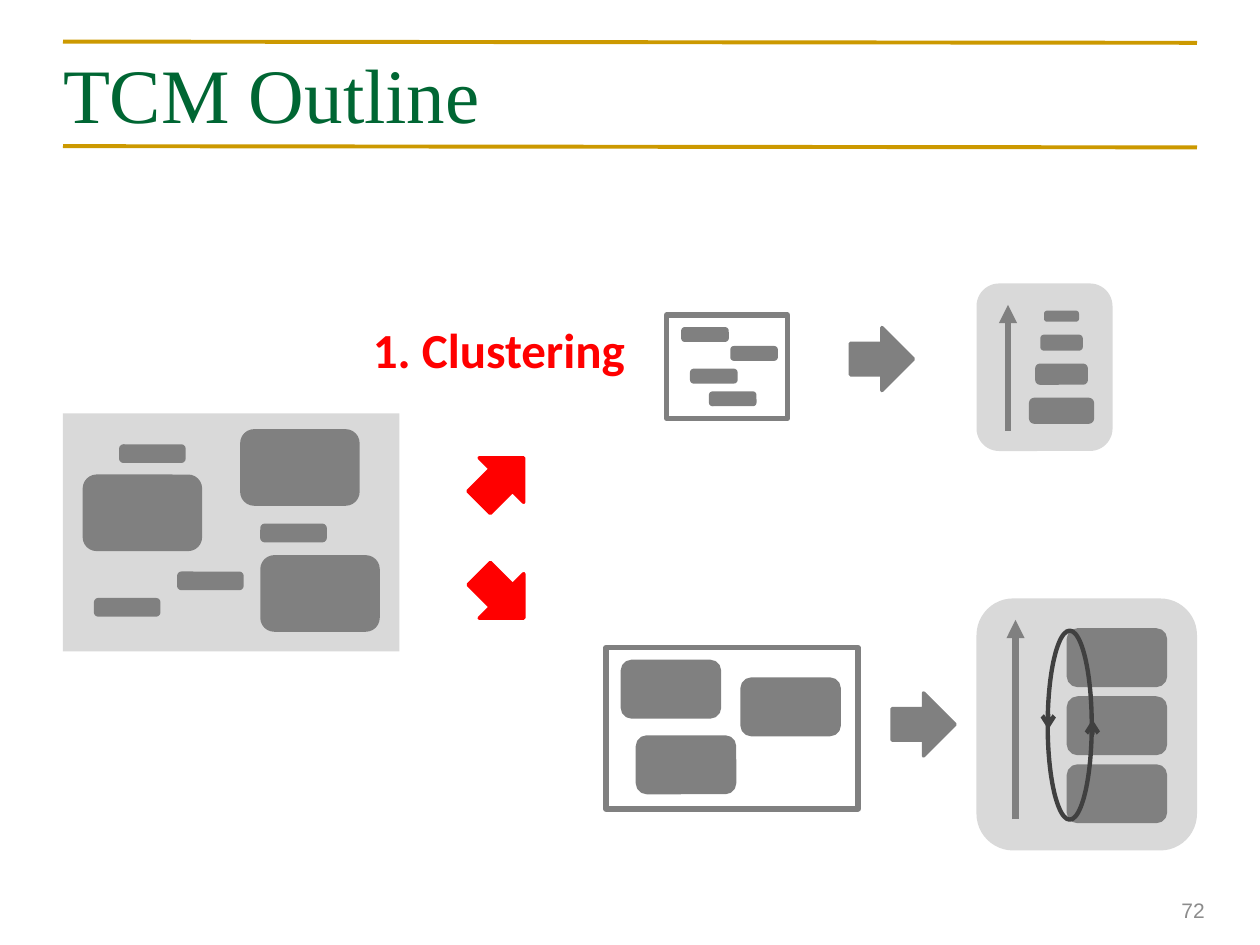
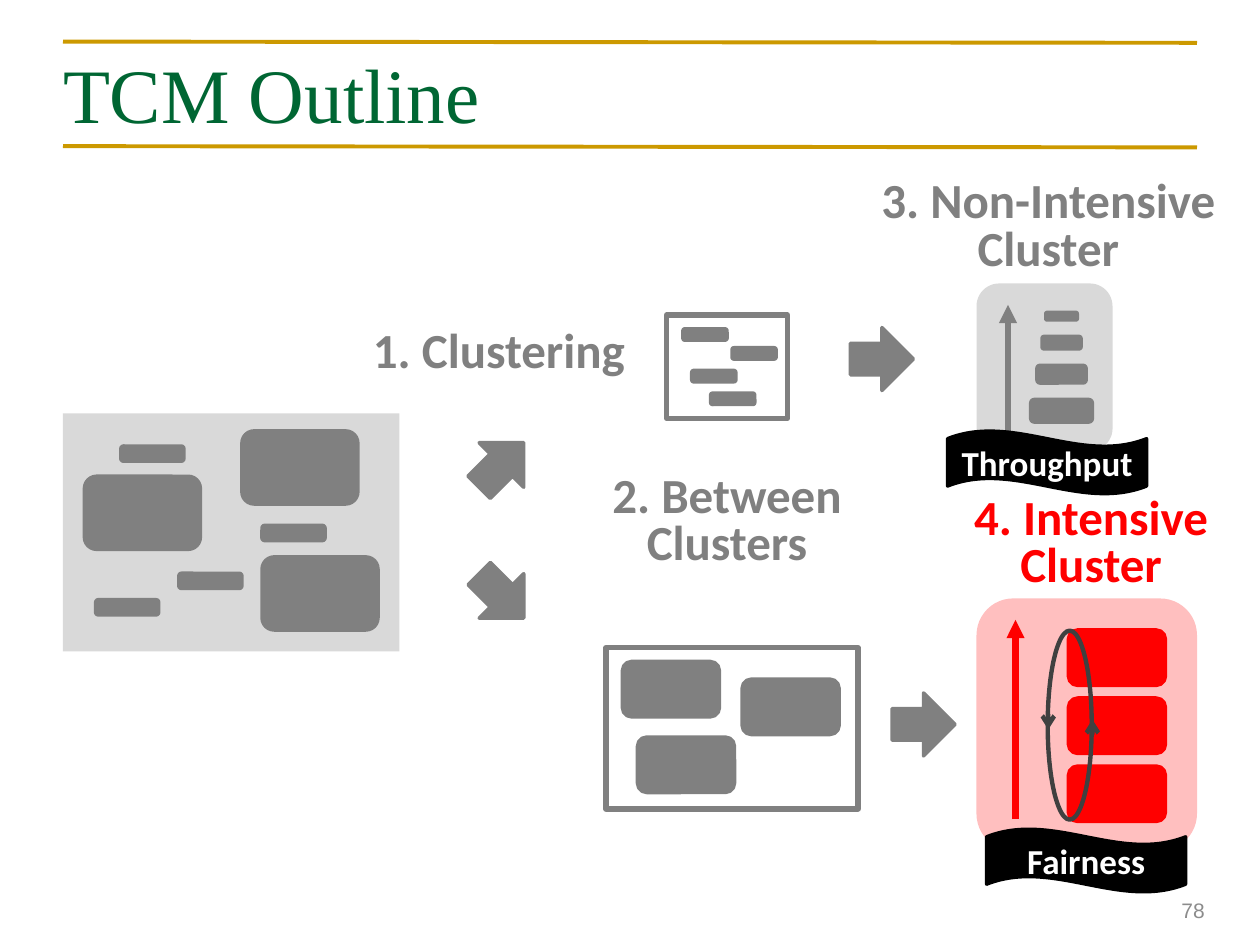
from pptx import Presentation
from pptx.dml.color import RGBColor
from pptx.enum.shapes import MSO_CONNECTOR as CONN, MSO_SHAPE as SHAPE
from pptx.enum.text import MSO_ANCHOR as ANCHOR, PP_ALIGN as ALIGN
from pptx.oxml.ns import qn
from pptx.util import Inches, Pt
from lxml import etree

rgb = RGBColor.from_string
GOLD, GREEN = "CC9900", "006633"
GRAY, LIGHT, DARK = "808080", "D9D9D9", "404040"
RED, BLACK, WHITE = "FF0000", "000000", "FFFFFF"
ROUND, ARROW = SHAPE.ROUNDED_RECTANGLE, SHAPE.RIGHT_ARROW


def add_box(s, kind, x, y, w, h, fill=None, line=None, width=2):
    sp = s.shapes.add_shape(kind, Inches(x), Inches(y), Inches(w), Inches(h))
    sp.shadow.inherit = False
    if fill:
        sp.fill.solid()
        sp.fill.fore_color.rgb = rgb(fill)
    else:
        sp.fill.background()
    if line:
        sp.line.color.rgb = rgb(line)
        sp.line.width = Pt(width)
    else:
        sp.line.fill.background()
    return sp


def add_line(s, x1, y1, x2, y2, color, width, arrow=None):
    ln = s.shapes.add_connector(CONN.STRAIGHT, Inches(x1), Inches(y1), Inches(x2), Inches(y2))
    ln.line.color.rgb = rgb(color)
    ln.line.width = Pt(width)
    props = ln._element.spPr
    if arrow:
        etree.SubElement(props.find(qn("a:ln")), qn("a:tailEnd"), type=arrow)
    etree.SubElement(props, qn("a:effectLst"))


# Thread blocks: small ones are non-intensive, big ones intensive
all_small = [(1.42, 4.55), (0.96, 3.54), (2.08, 4.17), (0.76, 4.76)]
all_big = [(2.08, 4.42), (0.67, 3.78), (1.92, 3.42)]
cluster_small = [(5.42, 2.61), (5.49, 2.94), (5.81, 2.76), (5.64, 3.12)]
cluster_big = [(4.94, 5.25), (5.89, 5.39), (5.06, 5.85)]
ranked_small = [(2.48, 0.25, 0.06), (2.67, 0.31, 0.1), (2.9, 0.39, 0.14), (3.17, 0.49, 0.18)]

# Per slide: number, step 1 colour, top of the upper arrow, intensive colour,
# further labels (x, y, w, lines, colour), banners (x, y, text)
slides = [
    ("72", RED, 3.56, GRAY, [], []),
    ("78", GRAY, 3.44, RED,
     [(4.74, 3.73, 2.06, ["2. Between ", "Clusters"], GRAY),
      (6.87, 1.39, 2.9, ["3. Non-Intensive ", "Cluster"], GRAY),
      (7.61, 3.9, 2.1, ["4. Intensive ", "Cluster"], RED)],
     [(7.52, 3.42, "Throughput"), (7.83, 6.58, "Fairness")]),
]

prs = Presentation()
prs.slide_width, prs.slide_height = Inches(10), Inches(7.5)

for number, step_color, upper_y, hot, labels, banners in slides:
    s = prs.slides.add_slide(prs.slide_layouts[5])

    # Title between two gold rules
    for y in (0.33, 1.16):
        add_line(s, 0.5, y, 9.5, y + 0.01, GOLD, 2.25)
    title = s.shapes.title
    title.left, title.top, title.width, title.height = Inches(0.5), Inches(0.3), Inches(9), Inches(0.87)
    tf = title.text_frame
    tf.text = "TCM Outline"
    tf.margin_left = tf.margin_right = 0
    tf.vertical_anchor = ANCHOR.MIDDLE
    p = tf.paragraphs[0]
    p.alignment = ALIGN.LEFT
    p.font.size, p.font.name, p.font.color.rgb = Pt(44), "Times New Roman", rgb(GREEN)

    # Slide number
    tf = s.shapes.add_textbox(Inches(7.33), Inches(7.02), Inches(2.33), Inches(0.4)).text_frame
    tf.word_wrap = True
    tf.vertical_anchor = ANCHOR.MIDDLE
    tf.text = number
    p = tf.paragraphs[0]
    p.alignment = ALIGN.RIGHT
    p.font.size, p.font.name, p.font.color.rgb = Pt(12), "Arial", rgb("8C8C8C")

    # All threads
    add_box(s, SHAPE.RECTANGLE, 0.5, 3.28, 2.67, 1.89, LIGHT)
    for x, y in all_small:
        add_box(s, ROUND, x, y, 0.5, 0.12, GRAY, GRAY)
    for x, y in all_big:
        add_box(s, ROUND, x, y, 0.92, 0.58, GRAY, GRAY)

    # The two clusters
    add_box(s, SHAPE.RECTANGLE, 4.81, 5.14, 2, 1.28, line=GRAY, width=3)
    for x, y in cluster_big:
        add_box(s, ROUND, x, y, 0.77, 0.44, GRAY, GRAY)
    add_box(s, SHAPE.RECTANGLE, 5.29, 2.5, 0.96, 0.82, line=GRAY, width=3)
    for x, y in cluster_small:
        add_box(s, ROUND, x, y, 0.35, 0.09, GRAY, GRAY)

    # Block arrows
    for x, y, angle, color in [(3.73, upper_y, 315, step_color), (3.73, 4.48, 45, step_color),
                               (6.75, 2.6, 0, GRAY), (7.08, 5.5, 0, GRAY)]:
        add_box(s, ARROW, x, y, 0.5, 0.5, color, color).rotation = angle

    # Ranking of the non-intensive cluster
    add_box(s, ROUND, 7.75, 2.25, 1.08, 1.33, LIGHT)
    for y, w, h in ranked_small:
        add_box(s, ROUND, 8.425 - w / 2, y, w, h, GRAY, GRAY)
    add_line(s, 8, 3.42, 8, 2.42, GRAY, 3.5, "triangle")

    # Shuffled ranking of the intensive cluster
    panel = add_box(s, ROUND, 7.75, 4.75, 1.75, 2, LIGHT if hot == GRAY else hot)
    if hot == RED:
        color_el = panel._element.spPr.find(qn("a:solidFill"))[0]
        etree.SubElement(color_el, qn("a:alpha"), val="25000")
    for i in range(3):
        add_box(s, ROUND, 8.48, 5 + 0.54 * i, 0.77, 0.44, hot, hot)
    add_line(s, 8.06, 6.5, 8.06, 4.92, hot, 3.5, "triangle")
    add_box(s, SHAPE.OVAL, 7.74, 5.58, 1.5, 0.35, line=DARK, width=2.5).rotation = 270
    add_line(s, 8.32, 5.71, 8.32, 5.79, DARK, 2.5, "arrow")
    add_line(s, 8.67, 5.79, 8.67, 5.71, DARK, 2.5, "arrow")

    # Step labels
    for x, y, w, lines, color in [(2.84, 2.58, 2.24, ["1. Clustering"], step_color)] + labels:
        h = 0.13 + 0.37 * len(lines)
        tf = s.shapes.add_textbox(Inches(x), Inches(y), Inches(w), Inches(h)).text_frame
        tf.word_wrap = False
        tf.text = "\n".join(lines)
        for p in tf.paragraphs:
            p.alignment, p.line_spacing = ALIGN.CENTER, 0.8
            p.font.size, p.font.name, p.font.bold = Pt(28), "Calibri", True
            p.font.color.rgb = rgb(color)

    # Goal banners
    for x, y, goal in banners:
        tf = add_box(s, SHAPE.WAVE, x, y, 1.58, 0.5, BLACK, BLACK).text_frame
        tf.text = goal
        tf.vertical_anchor = ANCHOR.MIDDLE
        p = tf.paragraphs[0]
        p.alignment = ALIGN.CENTER
        p.font.size, p.font.name, p.font.bold = Pt(20), "Calibri", True
        p.font.color.rgb = rgb(WHITE)

prs.save("out.pptx")
